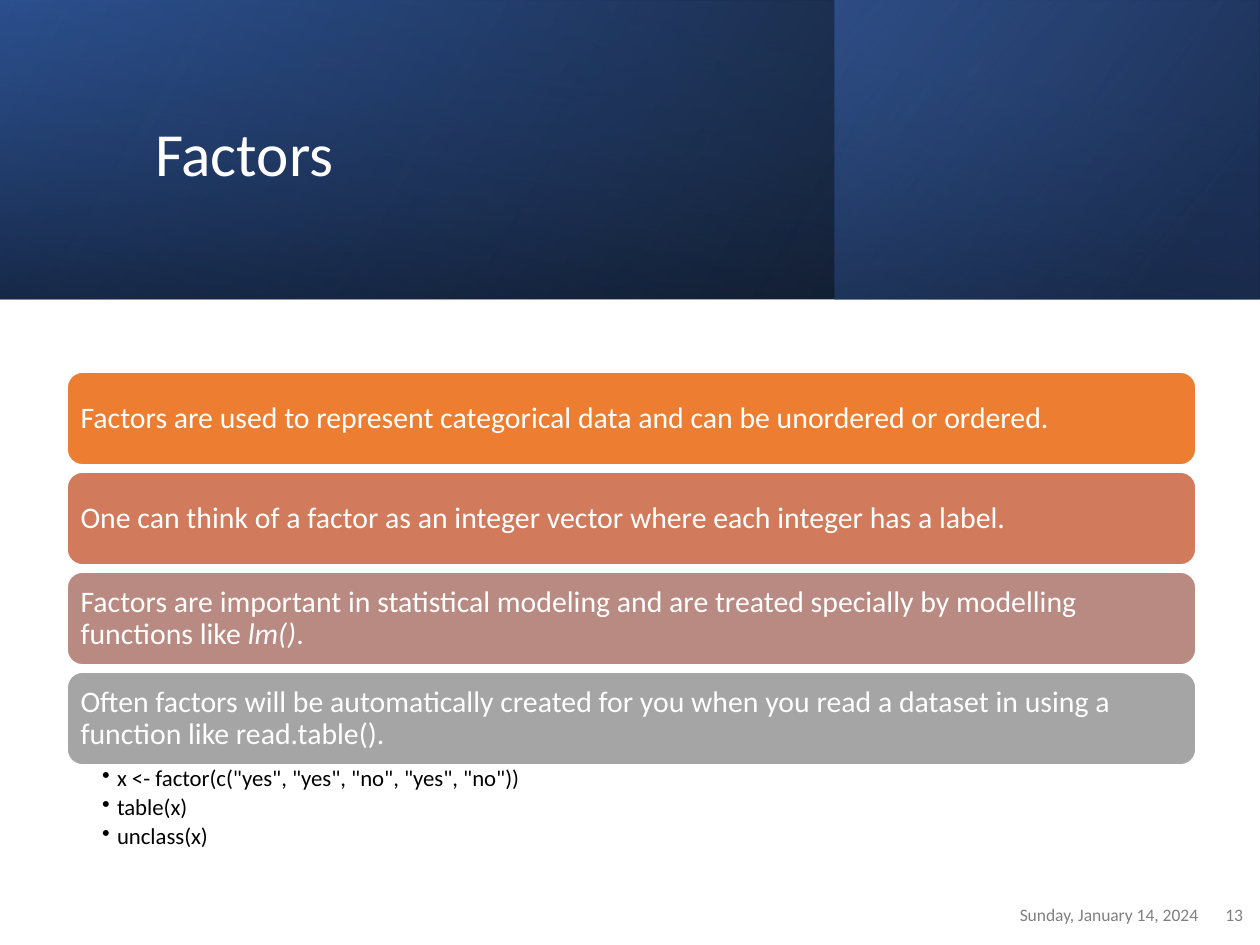
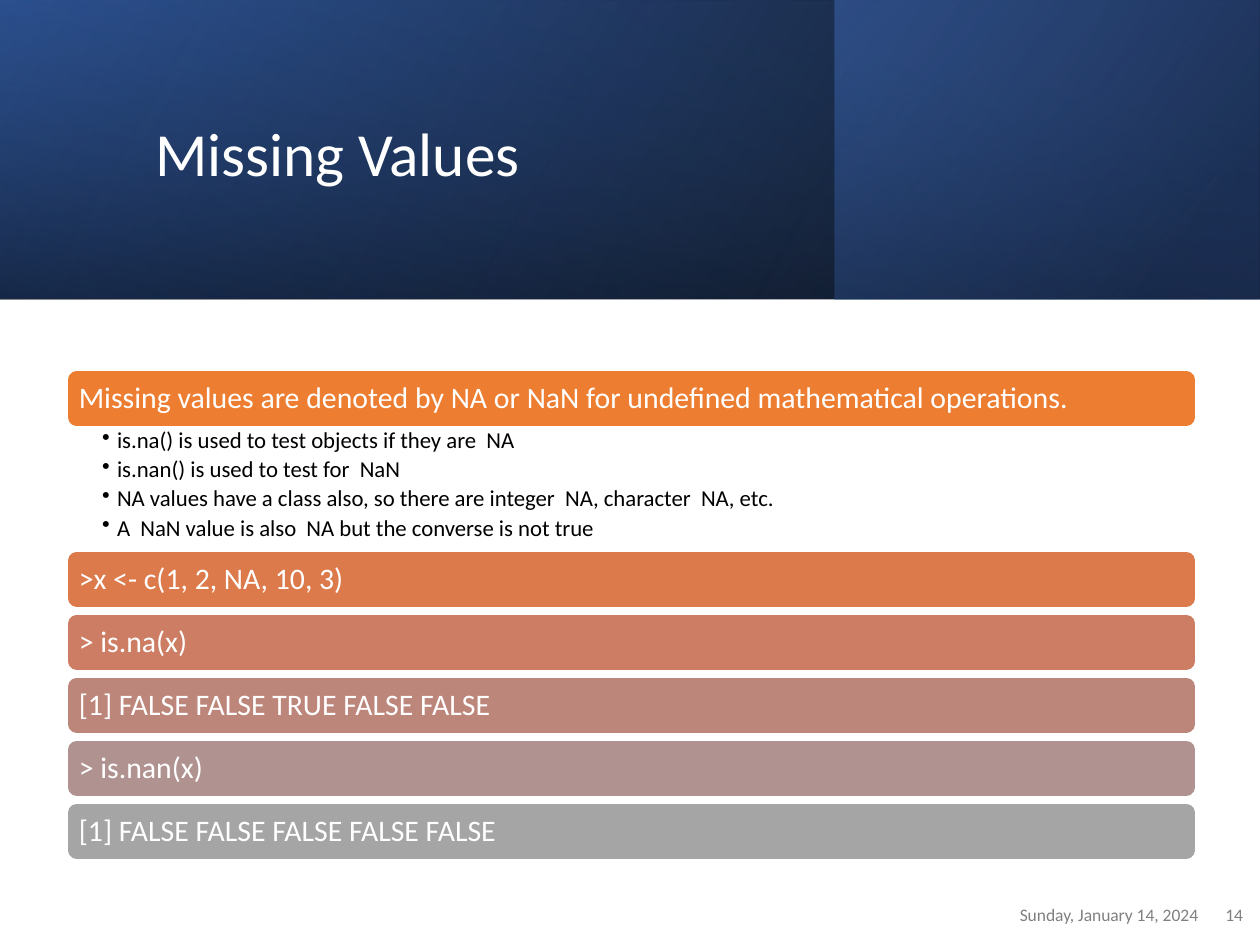
"""Build two slides on factors and missing values in R."""
from lxml import etree
from pptx import Presentation
from pptx.dml.color import RGBColor
from pptx.enum.shapes import MSO_SHAPE
from pptx.enum.text import MSO_ANCHOR, PP_ALIGN
from pptx.oxml import parse_xml
from pptx.util import Emu, Pt

RECT, ROUND = MSO_SHAPE.RECTANGLE, MSO_SHAPE.ROUNDED_RECTANGLE
LEFT, RIGHT = PP_ALIGN.LEFT, PP_ALIGN.RIGHT
TOP, MIDDLE = MSO_ANCHOR.TOP, MSO_ANCHOR.MIDDLE
NS = "http://schemas.openxmlformats.org/drawingml/2006/main"
FONT = "Calibri"
W, H, BAND_H = 1260, 945, 299
BAR_X, BAR_W = 67, 1129
C = {
    "white": "FFFFFF", "black": "000000", "footer": "808080",
    "navy": "203864", "deep": "2F5597", "blue": "4472C4",
    "orange": "ED7D31", "amber": "DC7A4B", "coral": "D17B5C",
    "salmon": "CC7D64", "clay": "BD867B", "rose": "B98A82",
    "mauve": "B09391", "grey": "A5A5A5",
}
BANDS = [
    ((0, 0, W, BAND_H), 0, 330, [(0, "black", 96), (100, "deep", 100)]),
    ((835, 0, 424, BAND_H), 0, 320, [(19, "navy", 68), (100, "blue", 48)]),
    ((480, -480, BAND_H, W), 270, 350, [(23, "deep", 16), (99, "black", 45)]),
]
SLIDES = [
    dict(title="Factors", number="13", top=372, bar_h=93, gap=7, bullets_h=92, bars=[
        ("orange", ["Factors are used to represent categorical data and can be unordered or ordered."], []),
        ("coral", ["One can think of a factor as an integer vector where each integer has a label."], []),
        ("rose", ["Factors are important in statistical modeling and are treated specially by "
                  "modelling functions like ", "lm()", "."], []),
        ("grey", ["Often factors will be automatically created for you when you read a dataset "
                  "in using a function like read.table()."],
         ['x <- factor(c("yes", "yes", "no", "yes", "no"))', "table(x)", "unclass(x)"]),
    ]),
    dict(title="Missing Values", number="14", top=370, bar_h=57, gap=6, bullets_h=124, bars=[
        ("orange", ["Missing values are denoted by NA or NaN for undefined mathematical operations."],
         ["is.na() is used to test objects if they are  NA",
          "is.nan() is used to test for  NaN",
          "NA values have a class also, so there are integer  NA, character  NA, etc.",
          "A  NaN value is also  NA but the converse is not true"]),
        ("amber", [">x <- c(1, 2, NA, 10, 3)"], []),
        ("salmon", ["> is.na(x)"], []),
        ("clay", ["[1] FALSE FALSE TRUE FALSE FALSE"], []),
        ("mauve", ["> is.nan(x)"], []),
        ("grey", ["[1] FALSE FALSE FALSE FALSE FALSE"], []),
    ]),
]


def px(*values):
    return [Emu(round(v * 9144000 / W)) for v in values]


def put_text(sp, paragraphs, size, color, align=LEFT, anchor=MIDDLE,
             insets=(13, 6, 13, 6), line=0.9, after=0, bullet=False):
    """Fill a shape; each paragraph is a list of runs, every second one italic."""
    tf = sp.text_frame
    tf.word_wrap = True
    tf.vertical_anchor = anchor
    tf.margin_left, tf.margin_top, tf.margin_right, tf.margin_bottom = px(*insets)
    for i, runs in enumerate(paragraphs):
        p = tf.add_paragraph() if i else tf.paragraphs[0]
        p.alignment, p.line_spacing, p.space_after = align, line, Pt(after)
        for j, text in enumerate(runs):
            r = p.add_run()
            r.text = text
            r.font.name, r.font.size, r.font.italic = FONT, Pt(size), j % 2 == 1
            r.font.color.rgb = RGBColor.from_string(C[color])
        if bullet:
            pPr = p._p.get_or_add_pPr()
            indent = px(15)[0]
            pPr.set("marL", str(indent))
            pPr.set("indent", str(-indent))
            etree.SubElement(pPr, f"{{{NS}}}buChar").set("char", "•")


prs = Presentation()
prs.slide_width, prs.slide_height = px(W, H)

for data in SLIDES:
    slide = prs.slides.add_slide(prs.slide_layouts[6])
    shapes = slide.shapes

    for box, rotation, angle, stops in BANDS:
        sp = shapes.add_shape(RECT, *px(*box))
        sp.shadow.inherit = False
        sp.line.fill.background()
        sp.rotation = rotation
        spPr = sp.element.spPr
        spPr.find(f"{{{NS}}}xfrm").set("flipH", "1")
        gs = "".join(
            f'<a:gs pos="{pos * 1000}"><a:srgbClr val="{C[name]}">'
            f'<a:alpha val="{alpha * 1000}"/></a:srgbClr></a:gs>'
            for pos, name, alpha in stops)
        spPr.find(f"{{{NS}}}prstGeom").addnext(parse_xml(
            f'<a:gradFill xmlns:a="{NS}" rotWithShape="1"><a:gsLst>{gs}</a:gsLst>'
            f'<a:lin ang="{angle * 60000}" scaled="0"/></a:gradFill>'))

    put_text(shapes.add_textbox(*px(142, 48, 1004, 217)), [[data["title"]]], 35, "white")
    for x, w, text in [(927, 284, "Sunday, January 14, 2024"), (1210, 46, data["number"])]:
        put_text(shapes.add_textbox(*px(x, 890, w, 50)), [[text]], 10, "footer",
                 align=RIGHT, line=1.0, after=6)

    y = data["top"]
    for color, runs, bullets in data["bars"]:
        sp = shapes.add_shape(ROUND, *px(BAR_X, y, BAR_W, data["bar_h"]))
        sp.shadow.inherit = False
        sp.fill.solid()
        sp.fill.fore_color.rgb = RGBColor.from_string(C[color])
        sp.line.color.rgb = RGBColor.from_string(C["white"])
        sp.line.width = Pt(1)
        put_text(sp, [runs], 17, "white", insets=(9, 9, 9, 9), after=6)
        y += data["bar_h"]
        if bullets:
            sp = shapes.add_textbox(*px(BAR_X, y, BAR_W, data["bullets_h"]))
            put_text(sp, [[b] for b in bullets], 13, "black", anchor=TOP,
                     insets=(35, 2, 16, 2), after=2.6, bullet=True)
            y += data["bullets_h"]
        else:
            y += data["gap"]

prs.save("out.pptx")
